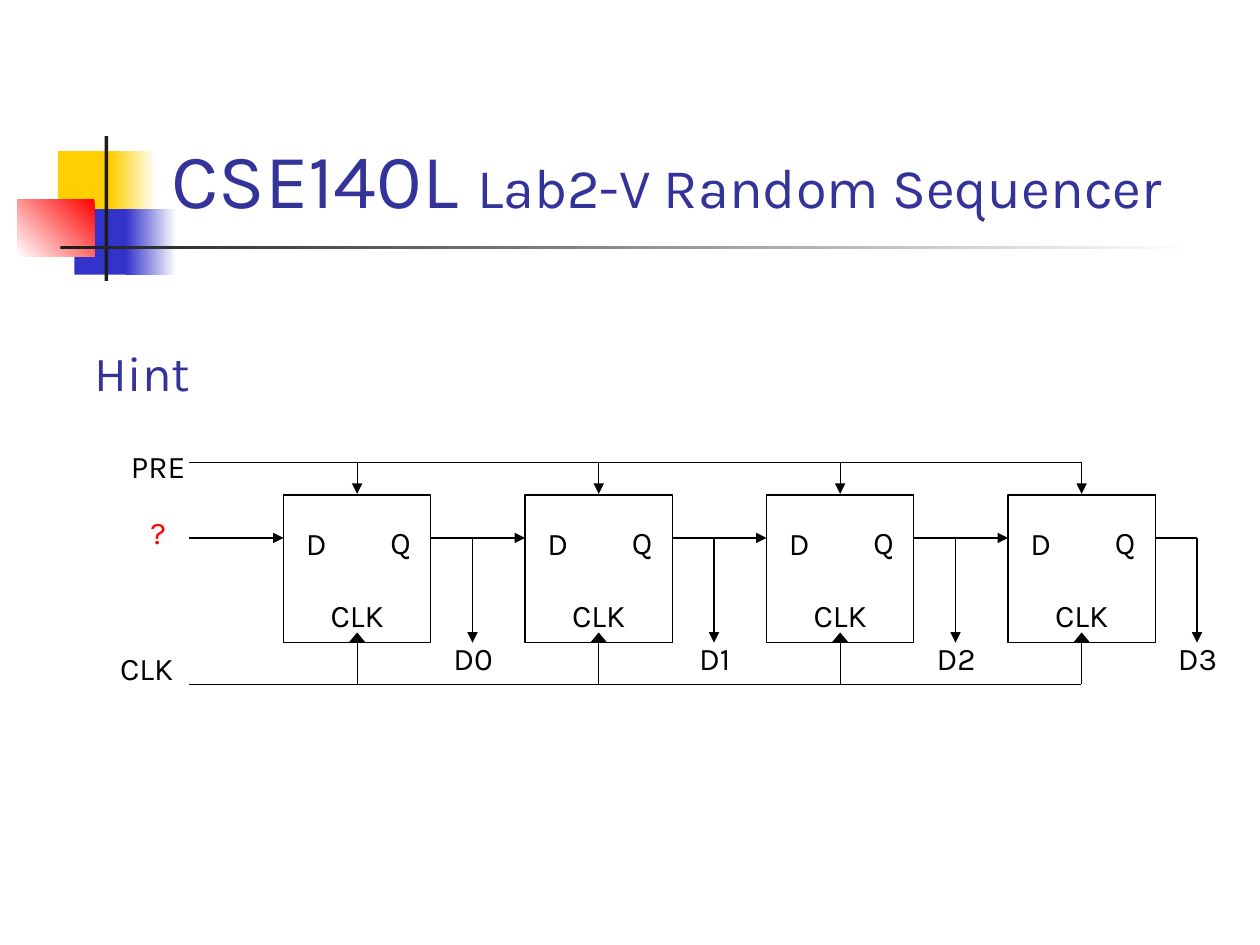
"""Build the CSE140L random sequencer hint slide with its four flip-flop stages."""
from pptx import Presentation
from pptx.dml.color import RGBColor
from pptx.enum.shapes import MSO_CONNECTOR, MSO_SHAPE
from pptx.enum.text import MSO_ANCHOR, MSO_AUTO_SIZE, PP_ALIGN
from pptx.oxml.ns import qn
from pptx.util import Inches, Pt
from lxml.etree import SubElement

BLACK = RGBColor(0x00, 0x00, 0x00)
WHITE = RGBColor(0xFF, 0xFF, 0xFF)
RED = RGBColor(0xFF, 0x00, 0x00)
YELLOW = RGBColor(0xFF, 0xCF, 0x01)
BLUE = RGBColor(0x33, 0x33, 0xCC)
NAVY = RGBColor(0x33, 0x33, 0x99)
CHARCOAL = RGBColor(0x1C, 0x1C, 0x1C)
FONT = "Karla"

presentation = Presentation()
presentation.slide_width = Inches(10)
presentation.slide_height = Inches(7.5)
slide = presentation.slides.add_slide(presentation.slide_layouts[5])


def add_wire(start, end, head_width=None):
    wire = slide.shapes.add_connector(
        MSO_CONNECTOR.STRAIGHT, *[Inches(value) for value in (*start, *end)]
    )
    wire.line.color.rgb = BLACK
    wire.line.width = Pt(0.75)
    if head_width:
        SubElement(wire.line._get_or_add_ln(), qn("a:tailEnd"), type="triangle", w=head_width, len="med")
    SubElement(wire._element.spPr, qn("a:effectLst"))


def add_label(text, left, top, width=0.67, height=0.4, align=PP_ALIGN.CENTER, size=18, color=BLACK):
    frame = slide.shapes.add_textbox(
        Inches(left), Inches(top), Inches(width), Inches(height)
    ).text_frame
    frame.word_wrap = True
    frame.auto_size = MSO_AUTO_SIZE.SHAPE_TO_FIT_TEXT
    paragraph = frame.paragraphs[0]
    paragraph.text = text
    paragraph.alignment = align
    paragraph.font.color.rgb = color
    for name, value in {"name": FONT, "size": Pt(size)}.items():
        setattr(paragraph.font, name, value)


ornaments = [
    (0.46, 1.2, 0.48, 0.52, YELLOW, None),
    (0.88, 1.2, 0.36, 0.52, YELLOW, 0),
    (0.59, 1.66, 0.46, 0.52, BLUE, None),
    (1, 1.66, 0.4, 0.52, BLUE, 0),
    (0.14, 1.58, 0.61, 0.46, RED, 225),
    (0.83, 1.08, 0.03, 1.15, CHARCOAL, None),
    (0.48, 1.95, 9, 0.03, CHARCOAL, 0),
]
for *bounds, color, angle in ornaments:
    ornament = slide.shapes.add_shape(MSO_SHAPE.RECTANGLE, *[Inches(value) for value in bounds])
    ornament.shadow.inherit = False
    ornament.line.fill.background()
    if angle is None:
        ornament.fill.solid()
        ornament.fill.fore_color.rgb = color
    else:
        ornament.fill.gradient()
        ornament.fill.gradient_angle = angle
        for stop, stop_color in zip(ornament.fill.gradient_stops, (color, WHITE)):
            stop.color.rgb = stop_color

title = slide.shapes.title
title_bounds = {"left": 1.26, "top": 0.23, "width": 8.52, "height": 1.6}
for name, value in title_bounds.items():
    setattr(title, name, Inches(value))
title.text_frame.vertical_anchor = MSO_ANCHOR.BOTTOM
heading = title.text_frame.paragraphs[0]
heading.alignment = PP_ALIGN.LEFT
for text, size in (("CSE140L ", 44), ("Lab2-V Random Sequencer", 32)):
    run = heading.add_run()
    run.text = text
    run.font.color.rgb = NAVY
    for name, value in {"name": FONT, "size": Pt(size)}.items():
        setattr(run.font, name, value)

add_label("Hint", 0.42, 2.67, 1.42, 0.57, size=28, color=NAVY)
add_label("PRE", 0.92, 3.5)
add_label("?", 0.92, 4.02, color=RED)
add_label("CLK", 0.83, 5.1)

STAGES = 4
FIRST_LEFT, LAST_LEFT = 2.25, 8
PITCH = (LAST_LEFT - FIRST_LEFT) / (STAGES - 1)
BOX_TOP, BOX_SIZE = 3.93, 1.17
PRESET_Y, DATA_Y, CLOCK_Y = 3.67, 4.27, 5.43
BUS_LEFT, BUS_RIGHT = 1.5, 8.58

for bus_y in (PRESET_Y, CLOCK_Y):
    add_wire((BUS_LEFT, bus_y), (BUS_RIGHT, bus_y))
add_wire((BUS_LEFT, DATA_Y), (FIRST_LEFT, DATA_Y), "med")

for stage in range(STAGES):
    left = FIRST_LEFT + stage * PITCH
    middle = left + BOX_SIZE / 2
    right = left + BOX_SIZE
    tap = left + 1.5
    is_last = stage == STAGES - 1

    flip_flop = slide.shapes.add_shape(
        MSO_SHAPE.RECTANGLE, Inches(left), Inches(BOX_TOP), Inches(BOX_SIZE), Inches(BOX_SIZE)
    )
    flip_flop.shadow.inherit = False
    flip_flop.fill.solid()
    flip_flop.fill.fore_color.rgb = WHITE
    flip_flop.line.color.rgb = BLACK
    flip_flop.line.width = Pt(0.75)

    add_wire((middle, PRESET_Y), (middle, 3.92), "med")
    add_wire((middle, CLOCK_Y), (middle, 5.02), "lg")
    if is_last:
        add_wire((right, DATA_Y), (tap, DATA_Y))
    else:
        add_wire((right, DATA_Y), (left + PITCH, DATA_Y), "med")
    add_wire((tap, DATA_Y), (tap, 5.1), "med")

    add_label("D", left + 0.08, 4.11, align=PP_ALIGN.LEFT)
    add_label("Q", left + 0.75, 4.1, width=0.42, align=PP_ALIGN.LEFT)
    add_label("CLK", left + 0.25, 4.68)
    add_label(f"D{stage}", right, 5.02)

presentation.save("out.pptx")
